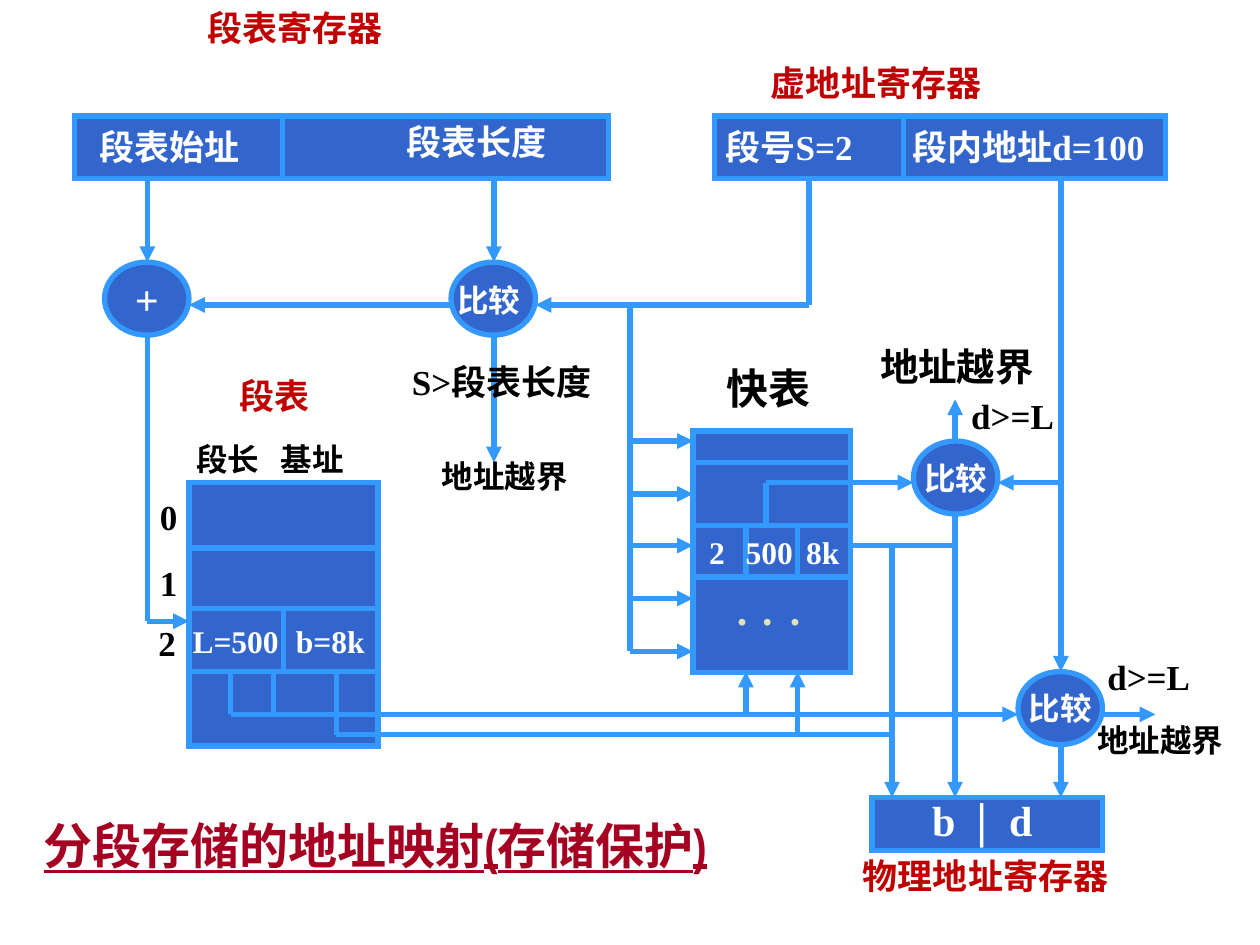
"""Builds a slide on segmented-memory address mapping with storage protection."""
from lxml import etree
from pptx import Presentation
from pptx.dml.color import RGBColor
from pptx.enum.shapes import MSO_CONNECTOR, MSO_SHAPE
from pptx.enum.text import MSO_ANCHOR, MSO_AUTO_SIZE, PP_ALIGN
from pptx.oxml.ns import qn
from pptx.util import Inches, Pt

RECTANGLE, OVAL = MSO_SHAPE.RECTANGLE, MSO_SHAPE.OVAL
STRAIGHT = MSO_CONNECTOR.STRAIGHT
LEFT, CENTER = PP_ALIGN.LEFT, PP_ALIGN.CENTER
TOP, MIDDLE = MSO_ANCHOR.TOP, MSO_ANCHOR.MIDDLE
FIT, FIXED = MSO_AUTO_SIZE.SHAPE_TO_FIT_TEXT, MSO_AUTO_SIZE.NONE

COLORS = {"fill": "3366CC", "line": "3399FF", "white": "FFFFFF", "black": "000000",
          "red": "C00000", "title": "A50021", "dot": "E1E1B7"}
LATIN_FONT, TITLE_FONT, ASIAN_FONT = "Times New Roman", "Arial Narrow", "Noto Sans CJK SC"
LINE_WIDTH = 3
HEIGHTS = {18: 0.4, 20: 0.44, 22: 0.47, 24: 0.5, 28: 0.57}

BOXES = [
    (2.24, 0.92, 2.59, 0.5),
    (0.59, 0.92, 1.65, 0.5),
    (5.67, 0.92, 3.58, 0.5),
    (6.92, 6.33, 1.83, 0.42),
    (1.5, 3.83, 1.5, 2.09),
    (5.5, 3.42, 1.25, 1.92),
]
CIRCLE_SIZE = (0.67, 0.58)
CIRCLES = [
    (0.83, 2.08, "+", 24),
    (3.58, 2.08, "", 18),
    (8.08, 5.33, "比较", 18),
    (7.25, 3.5, "比较", 18),
]

DIVIDERS = [
    [(7.17, 0.92), (7.17, 1.42)],
    [(1.52, 4.35), (3.02, 4.35)],
    [(1.5, 4.83), (3, 4.83)],
    [(1.5, 5.33), (3, 5.33)],
    [(2.25, 4.83), (2.25, 5.33)],
    [(5.92, 4.17), (5.92, 4.58)],
    [(6.33, 4.17), (6.33, 4.58)],
] + [[(5.5, y), (6.75, y)] for y in (3.67, 4.17, 4.58)]
WIRES = [
    [(5, 2.42), (5, 5.17)],
    [(2.17, 5.33), (2.17, 5.67)],
    [(2.67, 5.33), (2.67, 5.83), (7.08, 5.83)],
    [(6.75, 4.33), (7.58, 4.33)],
]
LOOKUP_TOP, LOOKUP_STEP, LOOKUP_COUNT = 3.5, 0.4175, 5
LOOKUP_ROWS = [round(LOOKUP_TOP + i * LOOKUP_STEP, 2) for i in range(LOOKUP_COUNT)]
ARROWS = [
    [(1.17, 1.42), (1.17, 2.08)],
    [(3.92, 1.42), (3.92, 2.08)],
    [(3.92, 2.67), (3.92, 3.67)],
    [(3.58, 2.42), (1.5, 2.42)],
    [(6.42, 1.42), (6.42, 2.42), (4.25, 2.42)],
    [(1.17, 2.67), (1.17, 4.93), (1.5, 4.93)],
    [(7.58, 4.08), (7.58, 6.33)],
    [(7.58, 3.5), (7.58, 3.17)],
    [(8.42, 1.42), (8.42, 5.33)],
    [(8.42, 3.83), (7.92, 3.83)],
    [(8.42, 5.92), (8.42, 6.33)],
    [(8.75, 5.67), (9.17, 5.67)],
    [(1.83, 5.33), (1.83, 5.67), (8.08, 5.67)],
    [(6.75, 4.33), (7.08, 4.33), (7.08, 6.33)],
    [(6.08, 4.17), (6.08, 3.83), (7.25, 3.83)],
    [(5.92, 5.67), (5.92, 5.33)],
    [(6.33, 5.83), (6.33, 5.33)],
] + [[(5, y), (5.5, y)] for y in LOOKUP_ROWS]

LABELS = [
    ("虚地址寄存器", 6.02, 0.44, 2.28, 20, "red"),
    ("段表", 1.8, 2.92, 0.78, 20, "red"),
    ("物理地址寄存器", 6.75, 6.73, 2.15, 20, "red"),
    ("段表始址", 0.69, 0.95, 1.31, 20, "white"),
    ("段表长度", 3.13, 0.91, 1.31, 20, "white"),
    ("段号S=2", 5.66, 0.95, 1.28, 20, "white"),
    ("段内地址d=100", 7.14, 0.95, 2.12, 20, "white"),
    ("比较", 3.53, 2.18, 0.7, 18, "white"),
    ("L=500", 1.43, 4.89, 0.91, 18, "white"),
    ("b=8k", 2.25, 4.89, 0.77, 18, "white"),
    ("2", 5.53, 4.18, 0.32, 18, "white"),
    ("500", 5.82, 4.18, 0.6, 18, "white"),
    ("8k", 6.3, 4.18, 0.49, 18, "white"),
    ("b", 7.3, 6.26, 0.38, 24, "white"),
    ("|", 7.65, 6.21, 0.29, 28, "white"),
    ("d", 7.91, 6.26, 0.38, 24, "white"),
    ("快表", 5.67, 2.83, 0.89, 24, "black"),
    ("地址越界", 6.85, 2.67, 1.49, 22, "black"),
    ("地址越界", 3.41, 3.58, 1.2, 18, "black"),
    ("地址越界", 8.61, 5.67, 1.2, 18, "black"),
    ("d>=L", 7.61, 3.08, 0.86, 20, "black"),
    ("d>=L", 8.69, 5.15, 0.86, 20, "black"),
    ("S>段表长度", 3.17, 2.81, 1.69, 20, "black"),
    ("段长", 1.46, 3.44, 0.72, 18, "black"),
    ("基址", 2.13, 3.44, 0.72, 18, "black"),
    ("0", 1.17, 3.88, 0.34, 20, "black"),
    ("1", 1.17, 4.41, 0.34, 20, "black"),
    ("2", 1.16, 4.88, 0.34, 20, "black"),
] + [(".", x, 4.58, 0.28, 24, "dot") for x in (5.75, 5.95, 6.17)]
CENTERED_SIZE = 22
REGISTER_NAME = ("段表寄存器", 1.55, 0, 1.59, 0.44)
TITLE = ("分段存储的地址映射(存储保护)", 0.25, 6.42, 5.62, 0.83)


def color(name):
    return RGBColor.from_string(COLORS[name])


def write(shape, text, size=18, tint="white", font=LATIN_FONT, align=LEFT,
          anchor=TOP, wrap=False, fit=FIT, underline=None):
    frame = shape.text_frame
    frame.word_wrap, frame.auto_size, frame.vertical_anchor = wrap, fit, anchor
    paragraph = frame.paragraphs[0]
    paragraph.alignment = align
    run = paragraph.add_run()
    run.text = text
    run.font.size, run.font.bold, run.font.underline = Pt(size), True, underline
    run.font.name = font
    run.font.color.rgb = color(tint)
    etree.SubElement(run.font._element, qn("a:ea"), typeface=ASIAN_FONT)


def add_block(slide, kind, *place, fill="fill", outlined=True):
    shape = slide.shapes.add_shape(kind, *map(Inches, place))
    shape.shadow.inherit = False
    shape.fill.solid()
    shape.fill.fore_color.rgb = color(fill)
    if outlined:
        shape.line.color.rgb = color("line")
        shape.line.width = Pt(LINE_WIDTH)
        etree.SubElement(shape.line._get_or_add_ln(), qn("a:miter"), lim="800000")
    else:
        shape.line.fill.background()
    return shape


def add_route(slide, points, arrow=False):
    for start, end in zip(points, points[1:]):
        connector = slide.shapes.add_connector(STRAIGHT, *map(Inches, start + end))
        connector.line.color.rgb = color("line")
        connector.line.width = Pt(LINE_WIDTH)
        if arrow and end == points[-1]:
            etree.SubElement(connector.line._get_or_add_ln(), qn("a:tailEnd"), type="triangle")
        etree.SubElement(connector._element.spPr, qn("a:effectLst"))


def main():
    presentation = Presentation()
    presentation.slide_width, presentation.slide_height = Inches(10), Inches(7.5)
    slide = presentation.slides.add_slide(presentation.slide_layouts[6])

    for place in BOXES:
        add_block(slide, RECTANGLE, *place)
    for points in DIVIDERS + WIRES:
        add_route(slide, points)
    for points in ARROWS:
        add_route(slide, points, arrow=True)
    for left, top, text, size in CIRCLES:
        circle = add_block(slide, OVAL, left, top, *CIRCLE_SIZE)
        if text:
            write(circle, text, size, align=CENTER, anchor=MIDDLE, fit=FIXED)
    for text, left, top, width, size, tint in LABELS:
        label = slide.shapes.add_textbox(*map(Inches, (left, top, width, HEIGHTS[size])))
        centered = size == CENTERED_SIZE
        write(label, text, size, tint, align=CENTER if centered else LEFT, wrap=centered)

    text, *place = REGISTER_NAME
    register = add_block(slide, RECTANGLE, *place, fill="white", outlined=False)
    write(register, text, 20, "red")
    text, *place = TITLE
    title = slide.shapes.add_textbox(*map(Inches, place))
    write(title, text, 28, "title", font=TITLE_FONT, wrap=True, fit=FIXED, underline=True)
    presentation.save("out.pptx")


if __name__ == "__main__":
    main()
